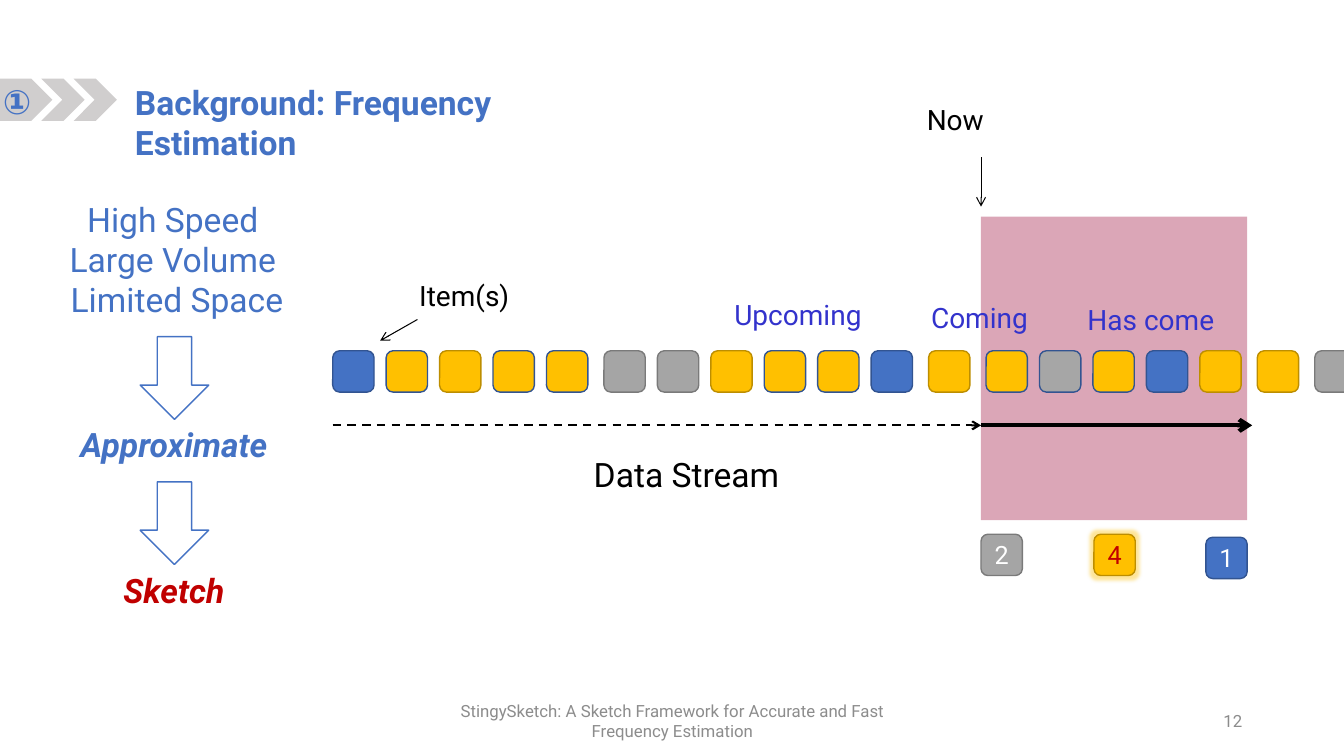
from dataclasses import dataclass

from lxml import etree
from pptx import Presentation
from pptx.dml.color import RGBColor
from pptx.enum.dml import MSO_LINE_DASH_STYLE as Dash
from pptx.enum.shapes import MSO_CONNECTOR as Connector, MSO_SHAPE as Shape
from pptx.enum.text import MSO_ANCHOR as Anchor, PP_ALIGN as Align
from pptx.oxml.ns import qn
from pptx.util import Inches, Pt


@dataclass(frozen=True)
class Theme:
    font: str = "Roboto"
    heading: int = 24
    label: int = 20
    count: int = 18
    footer: int = 12
    black: str = "000000"
    white: str = "FFFFFF"
    muted: str = "8C8C8C"
    blue: str = "4472C4"
    blue_edge: str = "325491"
    gold: str = "FFC000"
    gold_edge: str = "BD8E00"
    grey: str = "A5A5A5"
    grey_edge: str = "7A7A7A"
    dark_grey: str = "A6A6A6"
    chevron: str = "D0CECE"
    window: str = "990033"
    phase: str = "3333CC"
    red: str = "C00000"


def rgb(color):
    return RGBColor.from_string(color)


def write(frame, text, *, size, color, font, align=Align.LEFT, anchor=Anchor.TOP,
          bold=False, italic=False, spacing=None):
    """Fill a text frame, one paragraph for each line of text."""
    frame.word_wrap = True
    frame.vertical_anchor = anchor
    for index, line in enumerate(text.split("\n")):
        para = frame.add_paragraph() if index else frame.paragraphs[0]
        para.alignment = align
        para.line_spacing = spacing
        span = para.add_run()
        span.text = line
        span.font.name = font
        span.font.size = Pt(size)
        span.font.color.rgb = rgb(color)
        span.font.bold = bold
        span.font.italic = italic


class SlideBuilder:
    def __init__(self, slide, theme):
        self.shapes = slide.shapes
        self.theme = theme

    def text(self, content, left, top, width, height, **style):
        box = self.shapes.add_textbox(*map(Inches, (left, top, width, height)))
        write(box.text_frame, content, font=self.theme.font, **style)

    def label(self, content, left, top, color):
        self.text(content, left, top, 1.67, 0.48, size=self.theme.label,
                  color=color, align=Align.CENTER, spacing=0.9)

    def shape(self, kind, left, top, width, height, fill, edge=None, opacity=None, parent=None):
        shapes = parent.shapes if parent is not None else self.shapes
        shape = shapes.add_shape(kind, *map(Inches, (left, top, width, height)))
        shape.shadow.inherit = False
        shape.fill.solid()
        shape.fill.fore_color.rgb = rgb(fill)
        if opacity is not None:
            color = shape.fill._xPr.find(f".//{qn('a:srgbClr')}")
            etree.SubElement(color, qn("a:alpha"), val=str(opacity * 1000))
        if edge:
            shape.line.color.rgb = rgb(edge)
            shape.line.width = Pt(1)
        else:
            shape.line.fill.background()
        return shape

    def item(self, left, top, fill, edge, parent=None):
        return self.shape(Shape.ROUNDED_RECTANGLE, left, top, 0.41, 0.41, fill, edge, parent=parent)

    def counter(self, count, left, top, fill, edge, color):
        box = self.item(left, top, fill, edge)
        write(box.text_frame, count, size=self.theme.count, color=color,
              font=self.theme.font, align=Align.CENTER, anchor=Anchor.MIDDLE)
        return box

    def glow(self, shape, color, radius):
        effects = shape._element.spPr.find(qn("a:effectLst"))
        glow = etree.SubElement(effects, qn("a:glow"), rad=str(Pt(radius)))
        tint = etree.SubElement(glow, qn("a:srgbClr"), val=color)
        etree.SubElement(tint, qn("a:alpha"), val="40000")

    def arrow(self, start, end, width, dash=None):
        arrow = self.shapes.add_connector(Connector.STRAIGHT, *map(Inches, (*start, *end)))
        arrow.line.color.rgb = rgb(self.theme.black)
        arrow.line.width = Pt(width)
        if dash is not None:
            arrow.line.dash_style = dash
        etree.SubElement(arrow.line._get_or_add_ln(), qn("a:tailEnd"), type="arrow")
        etree.SubElement(arrow._element.spPr, qn("a:effectLst"))


def add_heading(page, theme):
    title = dict(size=theme.heading, color=theme.blue, bold=True)
    marker = page.shapes.add_group_shape()
    page.shape(Shape.PENTAGON, 0, 0.78, 0.52, 0.42, theme.chevron, parent=marker)
    for left in (0.41, 0.73):
        page.shape(Shape.CHEVRON, left, 0.78, 0.43, 0.42, theme.chevron, parent=marker)
    page.text("①", -0.07, 0.75, 0.54, 0.5, **title)
    page.text("Background: Frequency Estimation", 1.24, 0.76, 5.04, 0.5, **title)


def add_reasoning(page, theme):
    centred = dict(size=theme.heading, align=Align.CENTER)
    page.text("High Speed \nLarge Volume \nLimited Space", 0.18, 1.92, 3.15, 1.31,
              color=theme.blue, **centred)
    steps = (("Approximate", theme.blue, 3.34), ("Sketch", theme.red, 4.78))
    for step, color, top in steps:
        page.shape(Shape.DOWN_ARROW, 1.39, top, 0.68, 0.82, theme.white, theme.blue)
        page.text(step, 0.31, top + 0.82, 2.83, 0.5, color=color,
                  bold=True, italic=True, **centred)


def add_stream(page, theme):
    now, axis = 9.73, 4.22
    page.shape(Shape.RECTANGLE, now, 2.15, 2.64, 3.01, theme.window, opacity=35)
    page.arrow((3.3, axis), (now, axis), 1.5, Dash.DASH)
    page.arrow((now, axis), (12.42, axis), 3)
    page.arrow((now, 1.56), (now, 2.05), 0.75)
    page.arrow((4.14, 3.17), (3.77, 3.38), 0.75)
    page.text("Data Stream", 5.79, 4.5, 2.58, 0.75, size=theme.heading,
              color=theme.black, spacing=0.9)
    page.label("Now", 8.64, 1.01, theme.black)
    page.label("Item(s)", 3.77, 2.75, theme.black)
    page.label("Upcoming", 7.08, 2.94, theme.phase)
    page.label("Coming", 8.88, 2.97, theme.phase)
    page.label("Has come", 10.58, 2.99, theme.phase)

    looks = {
        "B": (theme.blue, theme.blue_edge),
        "Y": (theme.gold, theme.blue_edge),
        "G": (theme.gold, theme.gold_edge),
        "S": (theme.grey, theme.grey_edge),
        "D": (theme.dark_grey, theme.blue_edge),
    }
    stream = page.shapes.add_group_shape()
    left, pitch, batch_gap = 3.3, 0.53, 0.04
    for batch in ("BYGYY", "SSGYYB", "G", "YDYBG", "G", "S"):
        for kind in batch:
            page.item(left, 3.48, *looks[kind], parent=stream)
            left += pitch
        left += batch_gap

    page.counter("2", now, 5.3, *looks["S"], theme.white)
    most_frequent = page.counter("4", 10.85, 5.3, *looks["G"], theme.red)
    page.glow(most_frequent, theme.gold, 5)
    page.counter("1", 11.96, 5.33, *looks["B"], theme.white)


def add_footer(page, theme):
    style = dict(size=theme.footer, color=theme.muted, anchor=Anchor.MIDDLE)
    page.text("StingySketch: A Sketch Framework for Accurate and Fast Frequency Estimation",
              4.42, 6.95, 4.5, 0.4, align=Align.CENTER, **style)
    page.text("12", 9.42, 6.95, 3, 0.4, align=Align.RIGHT, **style)


def main():
    deck = Presentation()
    deck.slide_width, deck.slide_height = Inches(13.33), Inches(7.5)
    theme = Theme()
    page = SlideBuilder(deck.slides.add_slide(deck.slide_layouts[6]), theme)
    for add_part in (add_heading, add_stream, add_reasoning, add_footer):
        add_part(page, theme)
    deck.save("out.pptx")


if __name__ == "__main__":
    main()
